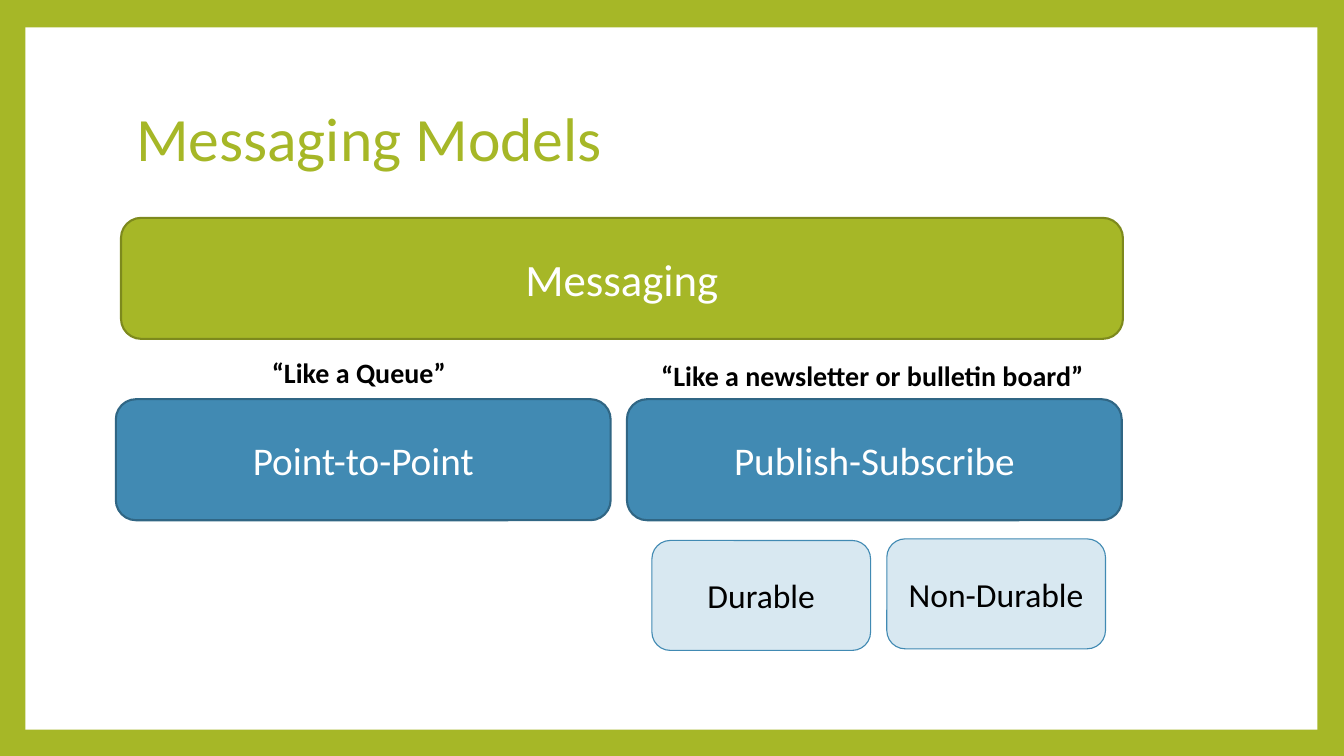
from dataclasses import dataclass
from pptx import Presentation
from pptx.dml.color import RGBColor
from pptx.enum.shapes import MSO_SHAPE
from pptx.enum.text import MSO_ANCHOR, PP_ALIGN
from pptx.util import Cm, Pt


@dataclass
class Theme:
    font: str = "Calibri"
    green: str = "A6B727"
    moss: str = "7D891D"
    blue: str = "418AB3"
    navy: str = "306684"
    pale: str = "D8E8F1"
    white: str = "FFFFFF"
    black: str = "000000"
    title: int = 44
    top: int = 32
    model: int = 28
    kind: int = 24
    note: int = 20


theme = Theme()


def write(shape, text, size, color, bold=False, align=PP_ALIGN.CENTER,
          anchor=MSO_ANCHOR.MIDDLE, wrap=True, space=1.0):
    frame = shape.text_frame
    frame.word_wrap = wrap
    frame.vertical_anchor = anchor
    line = frame.paragraphs[0]
    line.alignment = align
    line.line_spacing = space
    run = line.add_run()
    run.text = text
    run.font.name = theme.font
    run.font.size = Pt(size)
    run.font.bold = bold
    run.font.color.rgb = RGBColor.from_string(color)


def draw(form, place, fill, edge=None, width=0):
    shape = shapes.add_shape(form, *map(Cm, place))
    shape.shadow.inherit = False
    shape.fill.solid()
    shape.fill.fore_color.rgb = RGBColor.from_string(fill)
    if edge:
        shape.line.color.rgb = RGBColor.from_string(edge)
        shape.line.width = Pt(width)
    else:
        shape.line.fill.background()
    return shape


deck = Presentation()
deck.slide_width = Cm(33.87)
deck.slide_height = Cm(19.05)
slide = deck.slides.add_slide(deck.slide_layouts[6])
shapes = slide.shapes
slide.background.fill.solid()
slide.background.fill.fore_color.rgb = RGBColor.from_string(theme.green)

draw(MSO_SHAPE.RECTANGLE, (0.64, 0.69, 32.56, 17.7), theme.white)

title = shapes.add_textbox(Cm(3.18), Cm(1.7), Cm(27.43), Cm(3.76))
write(title, "Messaging Models", theme.title, theme.green,
      align=PP_ALIGN.LEFT, space=0.9)

top = draw(MSO_SHAPE.ROUNDED_RECTANGLE, (3.05, 5.49, 25.25, 3.05),
           theme.green, theme.moss, 1.5)
write(top, "Messaging", theme.top, theme.white)

for text, left in (("Point-to-Point", 2.92), ("Publish-Subscribe", 15.8)):
    model = draw(MSO_SHAPE.ROUNDED_RECTANGLE, (left, 10.06, 12.47, 3.05),
                 theme.blue, theme.navy, 1.5)
    write(model, text, theme.model, theme.white)

for text, left, y in (("Durable", 16.43, 13.62), ("Non-Durable", 22.35, 13.58)):
    kind = draw(MSO_SHAPE.ROUNDED_RECTANGLE, (left, y, 5.51, 2.77),
                theme.pale, theme.blue, 0.79)
    write(kind, text, theme.kind, theme.black)

for text, left, y, width, wrap, align in (
    ("“Like a Queue”", 6.6, 8.84, 5.13, False, PP_ALIGN.LEFT),
    ("“Like a newsletter or bulletin board”", 15.9, 8.91, 12.17, True,
     PP_ALIGN.CENTER),
):
    note = shapes.add_textbox(Cm(left), Cm(y), Cm(width), Cm(1.11))
    write(note, text, theme.note, theme.black, bold=True, align=align,
          anchor=MSO_ANCHOR.TOP, wrap=wrap)

deck.save("out.pptx")
